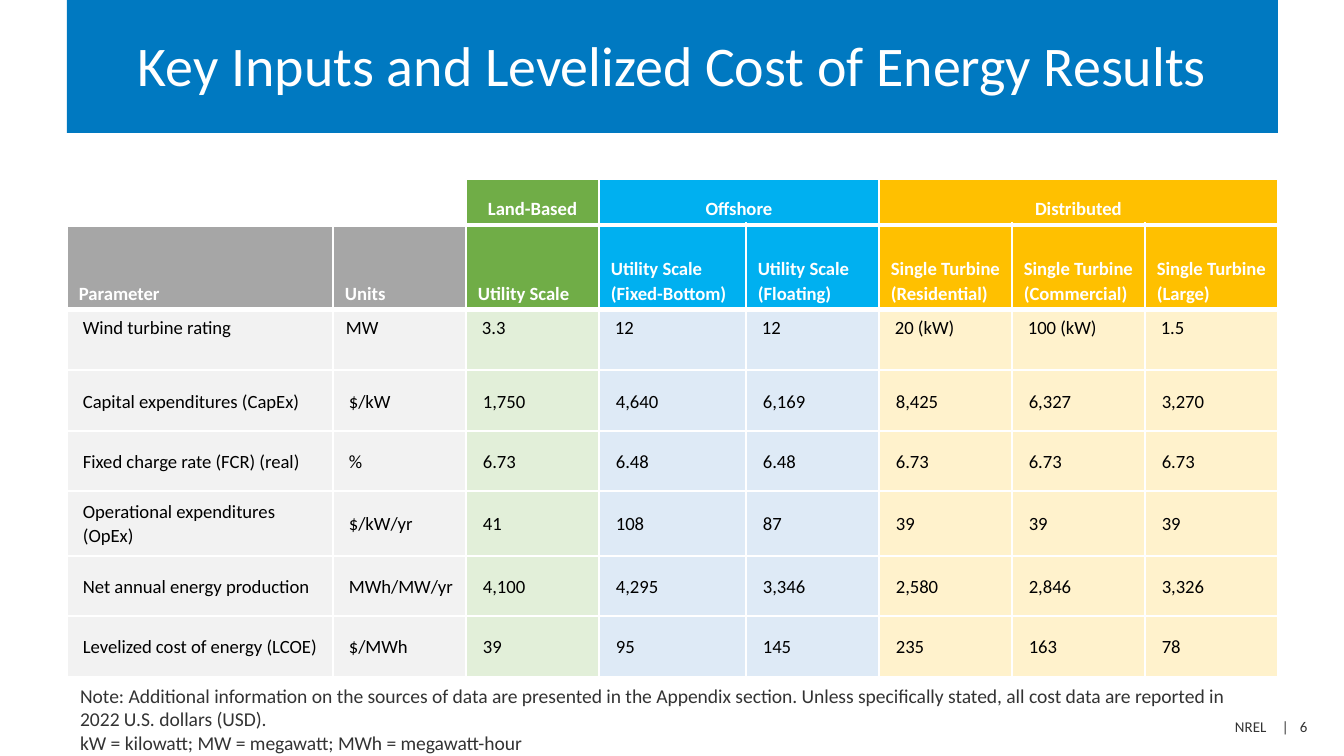
"""Build a slide with a table of wind energy inputs and levelized cost results."""
from lxml.etree import SubElement
from pptx import Presentation
from pptx.dml.color import RGBColor
from pptx.enum.shapes import MSO_SHAPE
from pptx.enum.text import MSO_ANCHOR, PP_ALIGN
from pptx.oxml.ns import qn
from pptx.util import Pt

TITLE = "Key Inputs and Levelized Cost of Energy Results"
NOTES = [
    "Note: Additional information on the sources of data are presented in the Appendix section. "
    "Unless specifically stated, all cost data are reported in 2022 U.S. dollars (USD).",
    "kW = kilowatt; MW = megawatt; MWh = megawatt-hour",
]
FOOTER = "NREL\t|\t6"
GROUPS = [("", 1, "label"), ("", 1, "label"), ("Land-Based", 1, "land"),
          ("Offshore", 2, "offshore"), ("Distributed", 3, "distributed")]
HEADINGS = ["Parameter", "Units", "Utility Scale", "Utility Scale (Fixed-Bottom)",
            "Utility Scale (Floating)", "Single Turbine (Residential)",
            "Single Turbine (Commercial)", "Single Turbine (Large)"]
ROWS = [
    ["Wind turbine rating", "MW", "3.3", "12", "12", "20 (kW)", "100 (kW)", "1.5"],
    ["Capital expenditures (CapEx)", "$/kW", "1,750", "4,640", "6,169", "8,425", "6,327", "3,270"],
    ["Fixed charge rate (FCR) (real)", "%", "6.73", "6.48", "6.48", "6.73", "6.73", "6.73"],
    ["Operational expenditures\n(OpEx)", "$/kW/yr", "41", "108", "87", "39", "39", "39"],
    ["Net annual energy production", "MWh/MW/yr", "4,100", "4,295", "3,346", "2,580", "2,846", "3,326"],
    ["Levelized cost of energy (LCOE)", "$/MWh", "39", "95", "145", "235", "163", "78"],
]
COLUMN_WIDTHS = [266, 133, 133, 147, 133, 133, 133, 133]
ROW_HEIGHTS = [46, 85, 60, 61, 60, 65, 60, 61]
THEME = {
    "font": "Calibri",
    "title": {"size": 30, "color": "FFFFFF"},
    "heading": {"size": 10, "color": "FFFFFF", "bold": True},
    "body": {"size": 10, "color": "000000"},
    "note": {"size": 10.5, "color": "333333"},
    "footer": {"size": 8, "color": "333333"},
    "banner": "0079C1",
    "border": "FFFFFF",
    "head_fill": {"label": "A6A6A6", "land": "70AD47", "offshore": "00B0F0", "distributed": "FFC000"},
    "body_fill": {"label": "F2F2F2", "land": "E2EFD9", "offshore": "DEEAF6", "distributed": "FFF2CC"},
}
COLUMN_GROUPS = [group for _, span, group in GROUPS for _ in range(span)]
SCALE = 914400 / 134.4


def px(length):
    return round(length * SCALE)


def set_margins(target, left, top, right, bottom):
    for side, margin in zip(("left", "top", "right", "bottom"), (left, top, right, bottom)):
        setattr(target, f"margin_{side}", px(margin))


def write(frame, lines, style, indent=0, **paragraph_format):
    for index, line in enumerate(lines):
        paragraph = frame.paragraphs[0] if index == 0 else frame.add_paragraph()
        for name, value in paragraph_format.items():
            setattr(paragraph, name, value)
        if indent:
            paragraph._p.get_or_add_pPr().set("marL", str(px(indent)))
        run = paragraph.add_run()
        run.text = line
        run.font.name = THEME["font"]
        run.font.size = Pt(style["size"])
        run.font.bold = style.get("bold", False)
        run.font.color.rgb = RGBColor.from_string(style["color"])


def fill_solid(target, color):
    target.fill.solid()
    target.fill.fore_color.rgb = RGBColor.from_string(color)


def set_borders(cell, row):
    properties = cell._tc.get_or_add_tcPr()
    widths = {"L": 1, "R": 1, "T": 3 if row in (1, 2) else 1, "B": 3 if row in (0, 1) else 1}
    for index, (side, width) in enumerate(widths.items()):
        line = SubElement(properties, qn(f"a:ln{side}"), w=str(Pt(width)))
        solid = SubElement(line, qn("a:solidFill"))
        SubElement(solid, qn("a:srgbClr"), val=THEME["border"])
        properties.insert(index, line)


def add_text(slide, box, lines, style):
    frame = slide.shapes.add_textbox(*map(px, box)).text_frame
    frame.word_wrap = True
    write(frame, lines, style)
    return frame


def add_title(slide):
    banner = slide.shapes.add_shape(MSO_SHAPE.RECTANGLE, *map(px, (67, 0, 1211, 133)))
    banner.shadow.inherit = False
    fill_solid(banner, THEME["banner"])
    banner.line.fill.background()
    frame = banner.text_frame
    frame.word_wrap = True
    frame.vertical_anchor = MSO_ANCHOR.MIDDLE
    set_margins(frame, 13, 17, 13, 7)
    write(frame, [TITLE], THEME["title"], alignment=PP_ALIGN.CENTER, line_spacing=Pt(28))


def add_footer(slide):
    frame = add_text(slide, (986, 711, 335, 32), [FOOTER], THEME["footer"])
    set_margins(frame, 249, 7, 0, 7)
    tabs = SubElement(frame.paragraphs[0]._p.get_or_add_pPr(), qn("a:tabLst"))
    for position in (47, 65):
        SubElement(tabs, qn("a:tab"), pos=str(px(position)), algn="l")


def fill_heading(cell, text, color, alignment):
    cell.vertical_anchor = MSO_ANCHOR.BOTTOM
    set_margins(cell, 12, 5, 12, 5)
    if text:
        fill_solid(cell, color)
        write(cell.text_frame, [text], THEME["heading"], alignment=alignment,
              line_spacing=1.07, space_after=Pt(8))
    else:
        cell.fill.background()
        size = str(THEME["heading"]["size"] * 100)
        SubElement(cell.text_frame.paragraphs[0]._p, qn("a:endParaRPr"), sz=size)


def fill_body(cell, text, row, column):
    if row == 0:
        cell.vertical_anchor = MSO_ANCHOR.TOP
        set_margins(cell, 1 if column == 0 else 12, 5, 12, 5)
        indent = (15, 1)[column] if column < 2 else 4
    else:
        cell.vertical_anchor = MSO_ANCHOR.MIDDLE
        set_margins(cell, 1, 1, 1, 0)
        indent = 15 if column < 2 else 16
    fill_solid(cell, THEME["body_fill"][COLUMN_GROUPS[column]])
    write(cell.text_frame, text.split("\n"), THEME["body"], indent, line_spacing=1.07)
    cell.text_frame.paragraphs[-1].space_after = Pt(8)


def add_results_table(slide):
    box = (67, 179, sum(COLUMN_WIDTHS), sum(ROW_HEIGHTS))
    table = slide.shapes.add_table(len(ROW_HEIGHTS), len(COLUMN_WIDTHS), *map(px, box)).table
    table.first_row = table.horz_banding = False
    for column, width in zip(table.columns, COLUMN_WIDTHS):
        column.width = px(width)
    for row, height in zip(table.rows, ROW_HEIGHTS):
        row.height = px(height)
    start = 0
    for text, span, group in GROUPS:
        cell = table.cell(0, start)
        if span > 1:
            cell.merge(table.cell(0, start + span - 1))
        fill_heading(cell, text, THEME["head_fill"][group], PP_ALIGN.CENTER)
        start += span
    for column, text in enumerate(HEADINGS):
        color = THEME["head_fill"][COLUMN_GROUPS[column]]
        fill_heading(table.cell(1, column), text, color, PP_ALIGN.LEFT)
    for row, values in enumerate(ROWS):
        for column, text in enumerate(values):
            fill_body(table.cell(row + 2, column), text, row, column)
    for row in range(len(ROW_HEIGHTS)):
        for column in range(len(COLUMN_WIDTHS)):
            set_borders(table.cell(row, column), row)


def main():
    presentation = Presentation()
    presentation.slide_width, presentation.slide_height = px(1344), px(756)
    slide = presentation.slides.add_slide(presentation.slide_layouts[6])
    add_footer(slide)
    add_title(slide)
    add_text(slide, (67, 677, 1211, 85), NOTES, THEME["note"])
    add_results_table(slide)
    presentation.save("out.pptx")


if __name__ == "__main__":
    main()
